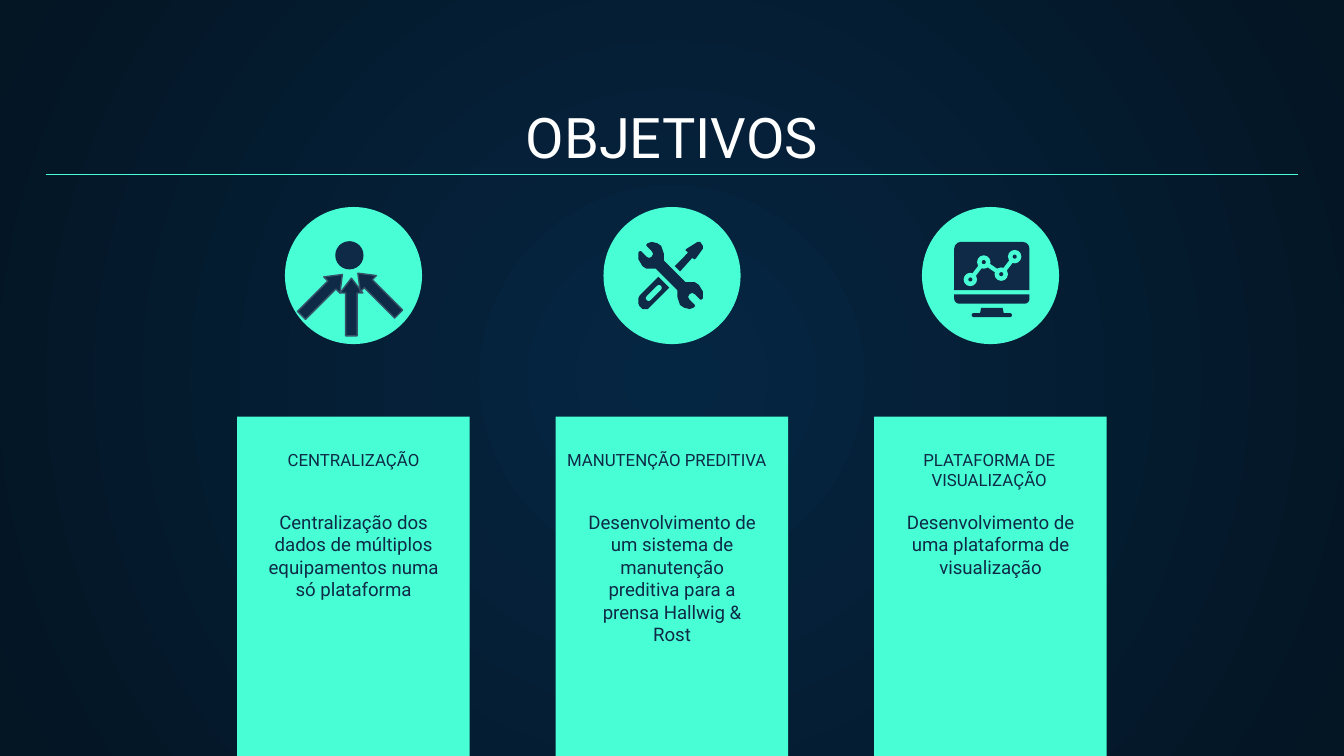
from lxml import etree
from pptx import Presentation
from pptx.dml.color import RGBColor
from pptx.enum.shapes import MSO_CONNECTOR, MSO_SHAPE
from pptx.enum.text import MSO_ANCHOR, MSO_AUTO_SIZE, PP_ALIGN
from pptx.oxml.ns import qn
from pptx.util import Inches, Pt

RECT, OVAL, ROUND = MSO_SHAPE.RECTANGLE, MSO_SHAPE.OVAL, MSO_SHAPE.ROUNDED_RECTANGLE
TOP_ROUND, TRAPEZOID, UP_ARROW = (MSO_SHAPE.ROUND_2_SAME_RECTANGLE, MSO_SHAPE.TRAPEZOID,
                                  MSO_SHAPE.UP_ARROW)
TOP, MIDDLE, BOTTOM = MSO_ANCHOR.TOP, MSO_ANCHOR.MIDDLE, MSO_ANCHOR.BOTTOM

W, H = 10, 5.625
FONT = "Roboto"
MINT, NAVY, EDGE, WHITE = "48FFD5", "0E2A47", "355269", "FFFFFF"
BACKGROUND = ("052643", "041523")  # centre, rim

TITLE = "OBJETIVOS"
# heading, heading shift from the column centre, heading anchor, description
GOALS = [
    ("CENTRALIZAÇÃO", 0, BOTTOM,
     "Centralização dos dados de múltiplos equipamentos numa só plataforma"),
    ("MANUTENÇÃO PREDITIVA", -0.04, BOTTOM,
     "Desenvolvimento de um sistema de manutenção preditiva para a prensa Hallwig & Rost"),
    ("PLATAFORMA DE\nVISUALIZAÇÃO", -0.01, MIDDLE,
     "Desenvolvimento de uma plataforma de visualização"),
]
PITCH = 2.37
MARGIN, RULE_Y = 0.34, 1.3
PANEL_W, PANEL_Y = 1.73, 3.1
DISC, DISC_Y = 1.02, 1.54

# Icon outlines, in inches
ARROWS = [(2.53, 2.07, 0), (2.73, 1.97, 315), (2.31, 1.98, 45)]  # left, top, rotation
WRENCH_CENTRE = (4.99, 2.05)
WRENCH_HALF = [
    (4.94, 1.89), (4.92, 1.83), (4.89, 1.81), (4.85, 1.8), (4.82, 1.81), (4.81, 1.82),
    (4.81, 1.83), (4.85, 1.87), (4.86, 1.89), (4.85, 1.91), (4.83, 1.92), (4.81, 1.91),
    (4.77, 1.87), (4.76, 1.87), (4.75, 1.88), (4.75, 1.93), (4.78, 1.98), (4.81, 2),
    (4.85, 2), (4.88, 2), (5.04, 2.16),
]
HANDLE = [(4.9, 2.06), (4.76, 2.2), (4.75, 2.22), (4.75, 2.26), (4.76, 2.28),
          (4.78, 2.3), (4.82, 2.3), (4.84, 2.28), (4.98, 2.14)]
BLADE = [(5.2, 1.8), (5.19, 1.8), (5.11, 1.85), (5.1, 1.86), (5.12, 1.88), (5.02, 1.98),
         (5.06, 2.02), (5.15, 1.92), (5.17, 1.93), (5.18, 1.92), (5.23, 1.85),
         (5.23, 1.83), (5.21, 1.8)]
CHART_POINTS = [(7.22, 2.08), (7.32, 1.95), (7.45, 2.04), (7.55, 1.91)]


def rgb(color):
    return RGBColor.from_string(color)


def paint(shape, fill, line=None):
    shape.shadow.inherit = False
    shape.fill.solid()
    shape.fill.fore_color.rgb = rgb(fill)
    if line:
        shape.line.color.rgb = rgb(line)
        shape.line.width = Pt(0.75)
    else:
        shape.line.fill.background()


def add_shape(kind, x, y, w, h, fill, line=None, rotation=0, adjust=()):
    shape = s.shapes.add_shape(kind, *map(Inches, (x, y, w, h)))
    paint(shape, fill, line)
    shape.rotation = rotation
    for i, value in enumerate(adjust):
        shape.adjustments[i] = value


def add_dot(cx, cy, size, fill):
    add_shape(OVAL, cx - size / 2, cy - size / 2, size, size, fill)


def add_outline(points):
    """Closed polygon; the builder rounds to whole units, so it works in EMU."""
    start, *rest = [(Inches(x), Inches(y)) for x, y in points]
    builder = s.shapes.build_freeform(*start)
    builder.add_line_segments(rest, close=True)
    paint(builder.convert_to_shape(), NAVY)


def add_line(start, end, width):
    line = s.shapes.add_connector(MSO_CONNECTOR.STRAIGHT, *map(Inches, (*start, *end)))
    line.line.color.rgb = rgb(MINT)
    line.line.width = Pt(width)
    etree.SubElement(line._element.spPr, qn("a:effectLst"))


def write(shape, text, size, color, anchor):
    tf = shape.text_frame
    frame = {"word_wrap": True, "auto_size": MSO_AUTO_SIZE.NONE, "vertical_anchor": anchor}
    frame.update({f"margin_{side}": Inches(0.1) for side in ("left", "top", "right", "bottom")})
    for name, value in frame.items():
        setattr(tf, name, value)
    p = tf.paragraphs[0]
    p.text = text
    p.alignment = PP_ALIGN.CENTER
    for r in p.runs:
        r.font.name, r.font.size = FONT, Pt(size)
        r.font.color.rgb = rgb(color)


def add_text(cx, y, w, h, text, size, anchor):
    box = s.shapes.add_textbox(*map(Inches, (cx - w / 2, y, w, h)))
    write(box, text, size, NAVY, anchor)


def set_background():
    """Radial gradient: swap the default linear direction for a circle."""
    fill = s.background.fill
    fill.gradient()
    for stop, color, position in zip(fill.gradient_stops, BACKGROUND, (0, 1)):
        stop.color.rgb = rgb(color)
        stop.position = position
    grad = s._element.find(".//" + qn("a:gradFill"))
    grad.remove(grad.find(qn("a:lin")))
    circle = etree.SubElement(grad, qn("a:path"), {"path": "circle"})
    etree.SubElement(circle, qn("a:fillToRect"), dict.fromkeys("ltrb", "50000"))


def draw_converging_arrows():
    for x, y, rotation in ARROWS:
        add_shape(UP_ARROW, x, y, 0.17, 0.43, NAVY, EDGE, rotation, (0.5, 0.65))
    add_shape(OVAL, 2.5, 1.8, 0.2, 0.2, NAVY, NAVY)


def draw_tools():
    cx, cy = WRENCH_CENTRE
    add_outline(WRENCH_HALF + [(2 * cx - x, 2 * cy - y) for x, y in WRENCH_HALF])
    add_outline(HANDLE)
    add_shape(ROUND, 4.79, 2.16, 0.15, 0.04, MINT, rotation=315, adjust=(0.5,))
    add_outline(BLADE)


def draw_monitor():
    add_shape(TOP_ROUND, 7.1, 1.8, 0.56, 0.36, NAVY, adjust=(0.14, 0))
    add_shape(TOP_ROUND, 7.1, 2.19, 0.56, 0.07, NAVY, rotation=180, adjust=(0.5, 0))
    add_shape(TRAPEZOID, 7.29, 2.29, 0.18, 0.05, NAVY, adjust=(0.2,))
    add_shape(ROUND, 7.23, 2.33, 0.3, 0.03, NAVY, adjust=(0.5,))
    for start, end in zip(CHART_POINTS, CHART_POINTS[1:]):
        add_line(start, end, 2.25)
    for x, y in CHART_POINTS:
        add_dot(x, y, 0.1, MINT)
        add_dot(x, y, 0.03, NAVY)


prs = Presentation()
prs.slide_width, prs.slide_height = Inches(W), Inches(H)
s = prs.slides.add_slide(prs.slide_layouts[5])
set_background()

title = s.shapes.title
title.left, title.top, title.width, title.height = map(
    Inches, (MARGIN, 0.7, W - 2 * MARGIN, 0.66))
write(title, TITLE, 30, WHITE, BOTTOM)
add_line((MARGIN, RULE_Y), (W - MARGIN, RULE_Y), 0.75)

for i, (heading, shift, anchor, description) in enumerate(GOALS):
    cx = W / 2 + (i - 1) * PITCH
    add_shape(RECT, cx - PANEL_W / 2, PANEL_Y, PANEL_W, H - PANEL_Y, MINT)
    add_text(cx + shift, 3.39, 2.27, 0.21, heading, 9, anchor)
    add_text(cx, 3.7, 1.52, 0.55, description, 10, TOP)
    add_dot(cx, DISC_Y + DISC / 2, DISC, MINT)

draw_converging_arrows()
draw_tools()
draw_monitor()

prs.save("out.pptx")
